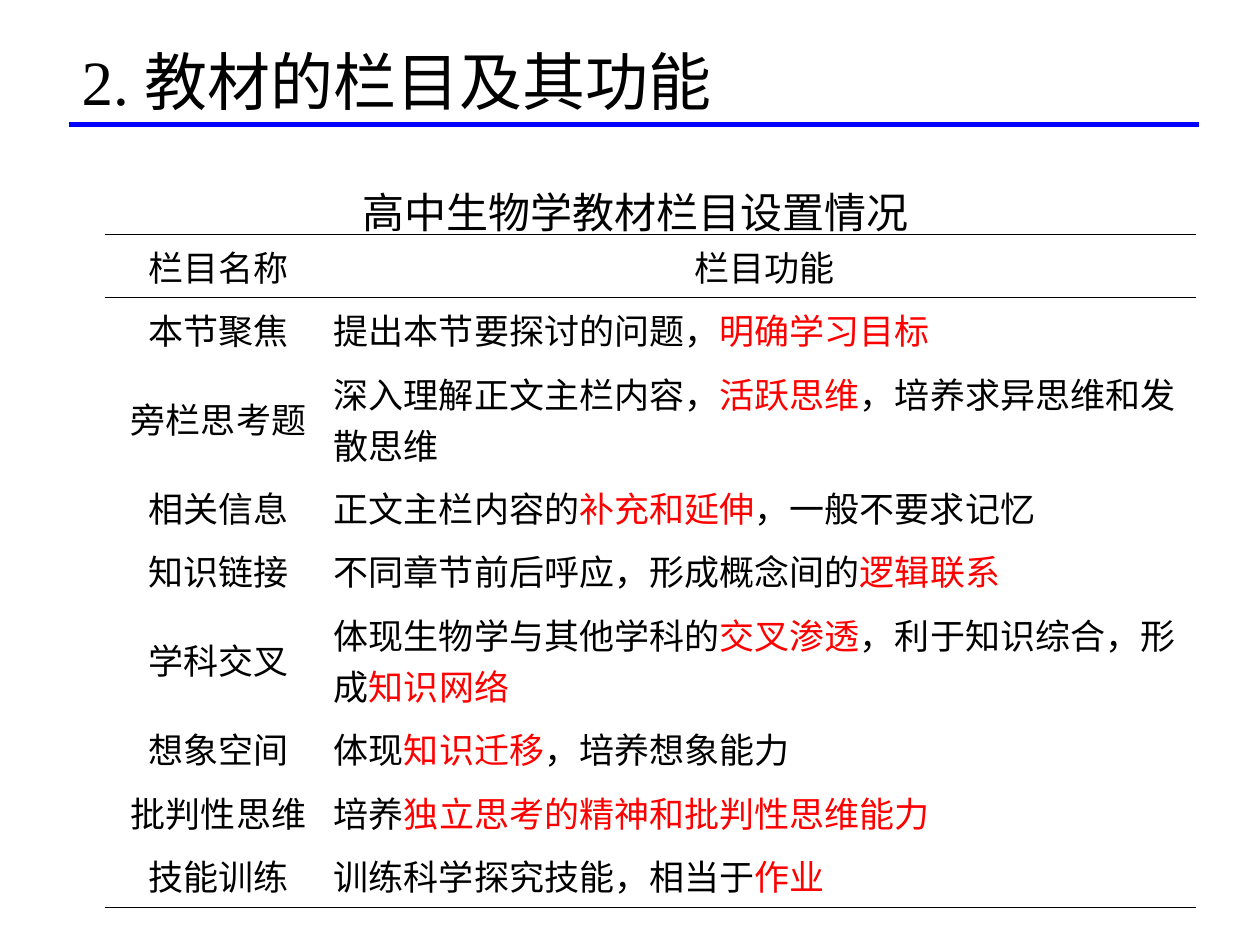
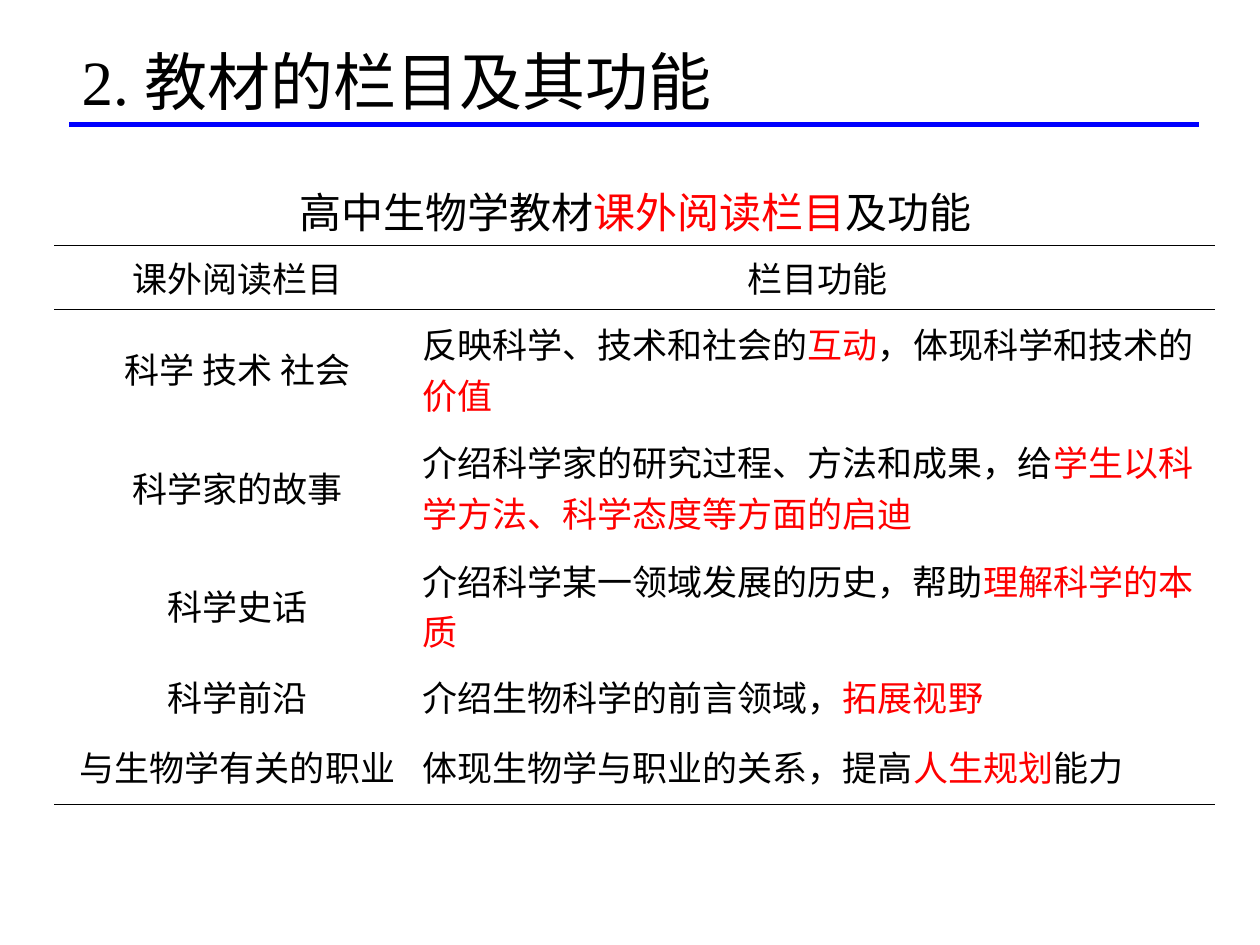
from pptx import Presentation
from pptx.util import Inches, Pt
from pptx.dml.color import RGBColor
from pptx.enum.shapes import MSO_CONNECTOR as Conn
from pptx.enum.text import PP_ALIGN as Align, MSO_ANCHOR as Anchor, MSO_AUTO_SIZE as Auto
from pptx.oxml.ns import qn
from lxml.etree import SubElement, Element

# Text between asterisks is shown in red.
TITLE = "2. 教材的栏目及其功能"
PAGES = [
    dict(
        head="高中生物学教材栏目设置情况",
        left=0.83, top=1.86, cols=[1.81, 6.85],
        tall=[0.44, 0.43, 0.86, 0.44, 0.44, 0.86, 0.44, 0.47, 0.44],
        rows=[
            ("栏目名称", "栏目功能"),
            ("本节聚焦", "提出本节要探讨的问题，*明确学习目标*"),
            ("旁栏思考题", "深入理解正文主栏内容，*活跃思维*，培养求异思维和发散思维"),
            ("相关信息", "正文主栏内容的*补充和延伸*，一般不要求记忆"),
            ("知识链接", "不同章节前后呼应，形成概念间的*逻辑联系*"),
            ("学科交叉", "体现生物学与其他学科的*交叉渗透*，利于知识综合，形成*知识网络*"),
            ("想象空间", "体现*知识迁移*，培养想象能力"),
            ("批判性思维", "培养*独立思考的精神和批判性思维能力*"),
            ("技能训练", "训练科学探究技能，相当于*作业*"),
        ],
    ),
    dict(
        head="高中生物学教材*课外阅读栏目*及功能",
        left=0.43, top=1.95, cols=[2.91, 6.3],
        tall=[0.48, 0.94, 0.94, 0.94, 0.48, 0.61],
        rows=[
            ("课外阅读栏目", "栏目功能"),
            ("科学 技术 社会", "反映科学、技术和社会的*互动*，体现科学和技术的*价值*"),
            ("科学家的故事", "介绍科学家的研究过程、方法和成果，给*学生以科学方法、科学态度等方面的启迪*"),
            ("科学史话", "介绍科学某一领域发展的历史，帮助*理解科学的本质*"),
            ("科学前沿", "介绍生物科学的前言领域，*拓展视野*"),
            ("与生物学有关的职业", "体现生物学与职业的关系，提高*人生规划*能力"),
        ],
    ),
]
BLACK, RED, BLUE = "000000", "FF0000", "0000FF"
SANS, SERIF = "Noto Sans CJK SC", "Times New Roman"
LEFT, RIGHT, RULE = 0.55, 9.52, 0.99


def paint(color, value):
    color.rgb = RGBColor.from_string(value)


def write(frame, text, size, font=SERIF, align=Align.LEFT, line=None, after=None):
    """Fill the first paragraph, turning parts between asterisks red."""
    para = frame.paragraphs[0]
    para.alignment = align
    if line:
        para.line_spacing = line
    if after:
        para.space_after = Pt(after)
    for i, part in enumerate(text.split("*")):
        if not part:
            continue
        run = para.add_run()
        run.text = part
        run.font.size = Pt(size)
        run.font.name = font
        run.font.bold = False
        paint(run.font.color, RED if i % 2 else BLACK)
        SubElement(run.font._element, qn("a:ea")).set("typeface", SANS)


def add_text(slide, text, at, inset=0.05, **form):
    box = slide.shapes.add_textbox(*map(Inches, at))
    frame = box.text_frame
    frame.word_wrap = True
    frame.auto_size = Auto.SHAPE_TO_FIT_TEXT
    frame.margin_top = Inches(inset)
    write(frame, text, **form)


def add_rule(slide):
    rule = slide.shapes.add_connector(
        Conn.STRAIGHT, Inches(LEFT), Inches(RULE), Inches(RIGHT), Inches(RULE))
    paint(rule.line.color, BLUE)
    rule.line.width = Pt(3)
    SubElement(rule._element.spPr, qn("a:effectLst"))


def edge(cell, sides):
    """Draw thin black borders on the named sides and clear the rest."""
    props = cell._tc.get_or_add_tcPr()
    for i, side in enumerate("LRTB"):
        line = Element(qn("a:ln" + side), w=str(Pt(0.45)))
        if side in sides:
            fill = SubElement(line, qn("a:solidFill"))
            SubElement(fill, qn("a:srgbClr")).set("val", BLACK)
        else:
            SubElement(line, qn("a:noFill"))
        props.insert(i, line)


def add_grid(slide, page):
    rows, cols, tall = page["rows"], page["cols"], page["tall"]
    spot = map(Inches, (page["left"], page["top"], sum(cols), sum(tall)))
    table = slide.shapes.add_table(len(rows), len(cols), *spot).table
    table.first_row = table.horz_banding = False
    for col, wide in zip(table.columns, cols):
        col.width = Inches(wide)
    for r, row in enumerate(rows):
        table.rows[r].height = Inches(tall[r])
        sides = {0: "TB", 1: "T", len(rows) - 1: "B"}.get(r, "")
        for c, text in enumerate(row):
            cell = table.cell(r, c)
            cell.fill.background()
            cell.vertical_anchor = Anchor.MIDDLE
            cell.margin_left = cell.margin_right = Inches(0.01)
            mid = r == 0 or c == 0
            write(cell.text_frame, text, 20, SANS, Align.CENTER if mid else Align.LEFT)
            edge(cell, sides)


def main():
    deck = Presentation()
    deck.slide_width, deck.slide_height = Inches(10), Inches(7.5)
    for page in PAGES:
        slide = deck.slides.add_slide(deck.slide_layouts[6])
        add_grid(slide, page)
        add_text(slide, TITLE, (LEFT, 0.29, 8.98, 0.7), size=36)
        add_rule(slide)
        add_text(slide, page["head"], (1.06, 1.23, 7.97, 0.62), inset=0.13,
                 size=24, align=Align.CENTER, line=1.3, after=6)
    deck.save("out.pptx")


if __name__ == "__main__":
    main()
